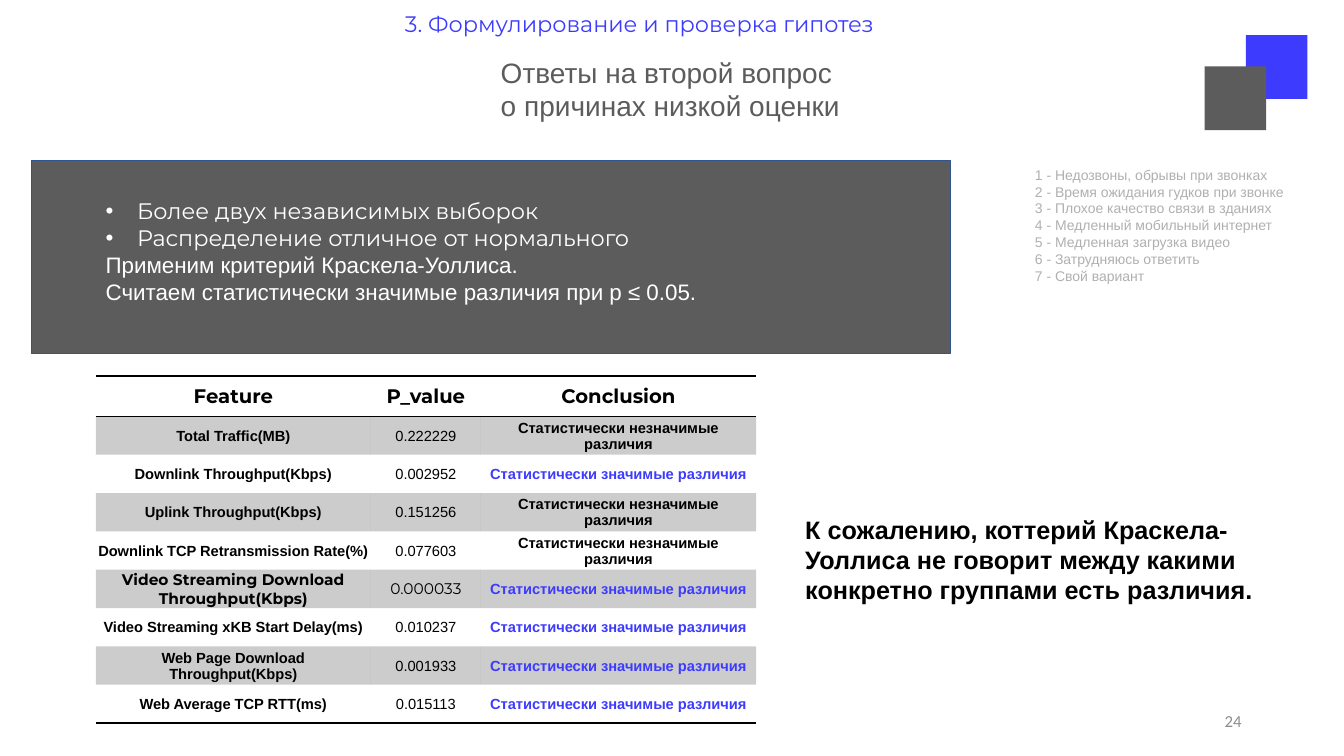
import pptx
import pptx.dml.color
import pptx.enum.shapes
import pptx.enum.text
import pptx.oxml
import pptx.oxml.ns
import pptx.util

Pt = pptx.util.Pt
ALIGN = pptx.enum.text.PP_ALIGN
ANCHOR = pptx.enum.text.MSO_ANCHOR
NS = pptx.oxml.ns.nsdecls("a")

COLORS = {
    "blue": "3D3BFE",
    "gray": "5C5C5C",
    "edge": "325491",
    "pale": "B0B0B0",
    "number": "8C8C8C",
    "black": "000000",
    "white": "FFFFFF",
}
NO_STYLE = "{2D5ABB26-0587-4C30-8999-92F81FD0307C}"
HEADERS = ["Feature", "P_value", "Conclusion"]
COL_WIDTHS = [196.6, 78.5, 196.6]
TESTS = [
    ("Total Traffic(MB)", "0.222229"),
    ("Downlink Throughput(Kbps)", "0.002952"),
    ("Uplink Throughput(Kbps)", "0.151256"),
    ("Downlink TCP Retransmission Rate(%)", "0.077603"),
    ("Video Streaming Download Throughput(Kbps)", "0.000033"),
    ("Video Streaming xKB Start Delay(ms)", "0.010237"),
    ("Web Page Download Throughput(Kbps)", "0.001933"),
    ("Web Average TCP RTT(ms)", "0.015113"),
]
EMPHASIZED = "Video Streaming Download Throughput(Kbps)"
REASONS = [
    "Недозвоны, обрывы при звонках",
    "Время ожидания гудков при звонке",
    "Плохое качество связи в зданиях",
    "Медленный мобильный интернет",
    "Медленная загрузка видео",
    "Затрудняюсь ответить",
    "Свой вариант",
]


def rgb(name):
    return pptx.dml.color.RGBColor.from_string(COLORS[name])


def font(size, color, name="Arial", bold=False):
    return {"size": Pt(size), "name": name, "bold": bold, "color": color}


def set_attrs(obj, values):
    for key, value in values.items():
        setattr(obj, key, value)


def add_run(p, text, fmt):
    r = p.add_run()
    r.text = text
    set_attrs(r.font, {k: v for k, v in fmt.items() if k != "color"})
    r.font.color.rgb = rgb(fmt["color"])


def add_bullet(p):
    pPr = p._p.get_or_add_pPr()
    pPr.set("marL", str(Pt(22.5)))
    pPr.set("indent", str(-Pt(22.5)))
    pPr.append(pptx.oxml.parse_xml(f'<a:buFont {NS} typeface="Arial"/>'))
    pPr.append(pptx.oxml.parse_xml(f'<a:buChar {NS} char="•"/>'))


def add_text(s, box, lines, fmt, anchor=ANCHOR.TOP, **para):
    tf = s.shapes.add_textbox(*map(Pt, box)).text_frame
    set_attrs(tf, {"word_wrap": True, "vertical_anchor": anchor})
    for i, line in enumerate(lines):
        p = tf.add_paragraph() if i else tf.paragraphs[0]
        set_attrs(p, para)
        add_run(p, line, fmt)
    return tf


def add_rect(s, box, fill, line=None):
    sp = s.shapes.add_shape(pptx.enum.shapes.MSO_SHAPE.RECTANGLE, *map(Pt, box))
    sp.shadow.inherit = False
    sp.fill.solid()
    sp.fill.fore_color.rgb = rgb(fill)
    if line:
        sp.line.color.rgb = rgb(line)
        sp.line.width = Pt(1)
    else:
        sp.line.fill.background()


def add_border(cell, side):
    cell._tc.get_or_add_tcPr().append(pptx.oxml.parse_xml(
        f'<a:{side} {NS} w="{Pt(1)}"><a:solidFill>'
        f'<a:srgbClr val="{COLORS["black"]}"/></a:solidFill></a:{side}>'))


def shade(cell):
    cell.fill.solid()
    cell.fill.fore_color.rgb = rgb("black")
    color = cell._tc.tcPr.find(".//" + pptx.oxml.ns.qn("a:srgbClr"))
    color.append(pptx.oxml.parse_xml(f'<a:alpha {NS} val="20000"/>'))


def fill_cell(cell, text, fmt, sides, shaded):
    set_attrs(cell, {
        "margin_left": Pt(0.75), "margin_right": Pt(0.75),
        "margin_top": Pt(0.75), "margin_bottom": Pt(0),
        "vertical_anchor": ANCHOR.MIDDLE,
    })
    p = cell.text_frame.paragraphs[0]
    p.alignment = ALIGN.CENTER
    add_run(p, text, fmt)
    for side in sides:
        add_border(cell, side)
    if shaded:
        shade(cell)
    else:
        cell.fill.background()


def test_row(feature, p_value):
    plain = font(10.5, "black")
    bold = font(10.5, "black", bold=True)
    special = feature == EMPHASIZED
    significant = float(p_value) <= 0.05
    verdict = "значимые" if significant else "незначимые"
    return [
        (feature, font(11, "black", "Montserrat", True) if special else bold),
        (p_value, font(11, "black", "Montserrat") if special else plain),
        (f"Статистически {verdict} различия",
         font(10.5, "blue", bold=True) if significant else bold),
    ]


def add_results(s, left, top):
    header = font(14, "black", "Montserrat", True)
    rows = [[(text, header) for text in HEADERS]]
    rows += [test_row(*test) for test in TESTS]
    heights = [28.8] + [27.4] * len(TESTS)
    table = s.shapes.add_table(
        len(rows), len(HEADERS), Pt(left), Pt(top),
        Pt(sum(COL_WIDTHS)), Pt(sum(heights))).table
    set_attrs(table, {"first_row": False, "horz_banding": False})
    table._tbl.tblPr.find(pptx.oxml.ns.qn("a:tableStyleId")).text = NO_STYLE
    for column, width in zip(table.columns, COL_WIDTHS):
        column.width = Pt(width)
    borders = {0: ["lnT", "lnB"], len(TESTS): ["lnB"]}
    for i, row in enumerate(rows):
        table.rows[i].height = Pt(heights[i])
        for j, (text, fmt) in enumerate(row):
            fill_cell(table.cell(i, j), text, fmt, borders.get(i, []), i % 2 == 1)


def add_method(s):
    tf = add_text(s, (68.4, 137.5, 549.4, 85), [
        "Более двух независимых выборок",
        "Распределение отличное от нормального",
        "Применим критерий Краскела-Уоллиса.",
        "Считаем статистически значимые различия при p ≤ 0.05.",
    ], font(16, "white"))
    for p in tf.paragraphs[:2]:
        add_bullet(p)
        p.runs[0].font.name = "Montserrat"


def main():
    prs = pptx.Presentation()
    set_attrs(prs, {"slide_width": Pt(960), "slide_height": Pt(540)})
    s = prs.slides.add_slide(prs.slide_layouts[6])
    add_rect(s, (22.3, 114.5, 656.6, 138.2), "gray", "edge")
    add_text(s, (678, 500.4, 216, 28.8), ["24"], font(12, "number", "Calibri"),
             ANCHOR.MIDDLE, alignment=ALIGN.RIGHT)
    add_rect(s, (890, 25.2, 44, 45.4), "blue")
    add_rect(s, (860.4, 47.5, 44, 45.4), "gray")
    add_text(s, (282.2, 2.2, 396, 31.7), ["3. Формулирование и проверка гипотез"],
             font(16, "blue", "Montserrat"), ANCHOR.MIDDLE, line_spacing=0.9)
    add_text(s, (350.6, 36, 258.5, 55.4),
             ["Ответы на второй вопрос", "о причинах низкой оценки"], font(20, "gray"))
    add_method(s)
    add_results(s, 68.4, 268.6)
    add_text(s, (568.1, 363.6, 375.1, 72.7), [
        "К сожалению, коттерий Краскела-Уоллиса не говорит между какими "
        "конкретно группами есть различия."], font(18, "black", bold=True))
    add_text(s, (732.2, 115.2, 201.6, 92.2),
             [f"{i} - {reason}" for i, reason in enumerate(REASONS, 1)],
             font(10, "pale"))
    prs.save("out.pptx")


if __name__ == "__main__":
    main()
